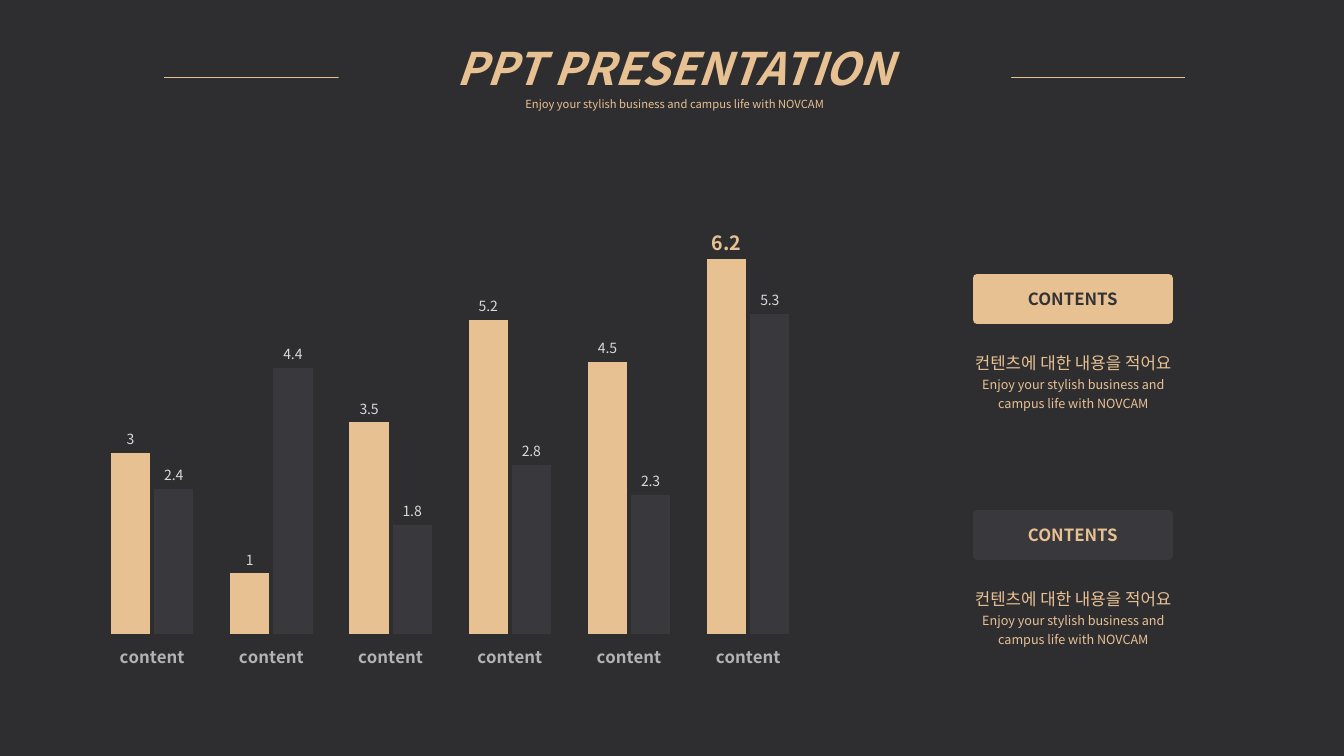
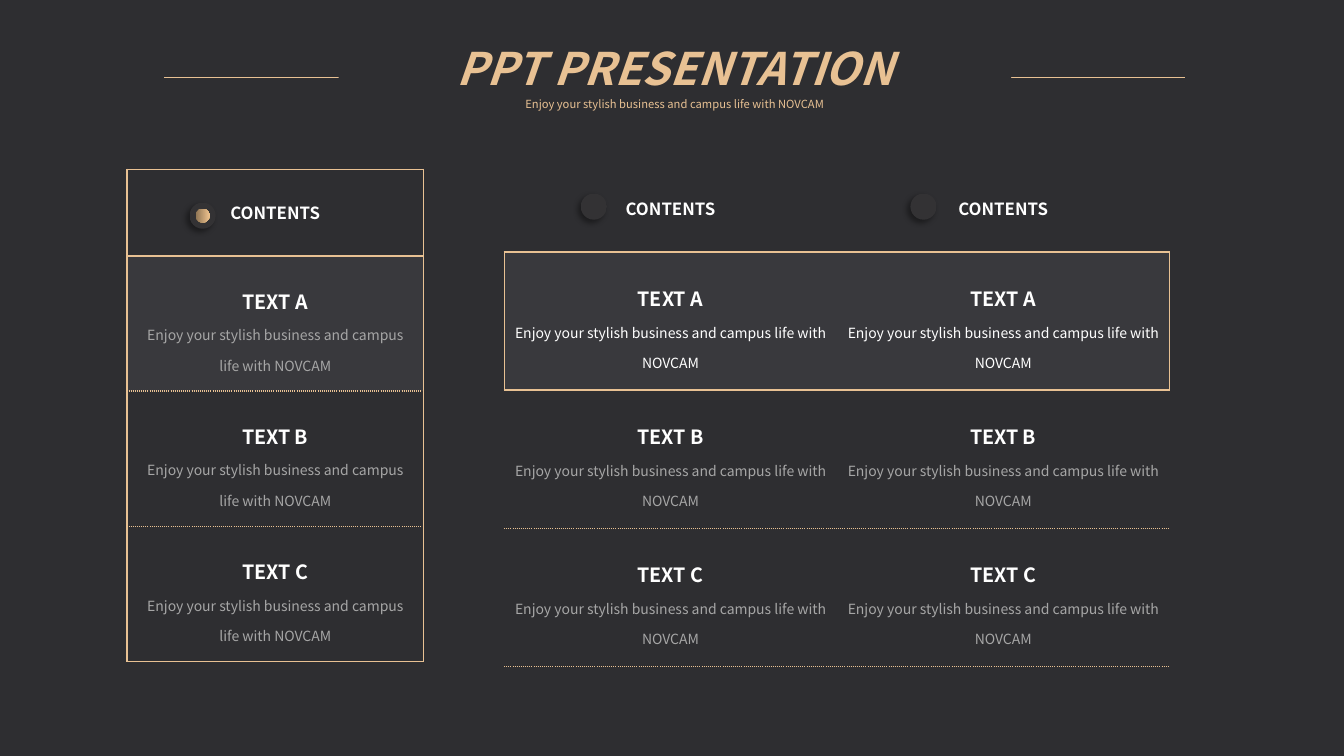
from lxml import etree
from pptx import Presentation
from pptx.chart.data import CategoryChartData
from pptx.dml.color import RGBColor
from pptx.enum.chart import XL_CHART_TYPE, XL_LABEL_POSITION
from pptx.enum.shapes import MSO_CONNECTOR, MSO_SHAPE
from pptx.enum.text import MSO_ANCHOR, PP_ALIGN
from pptx.oxml.ns import qn
from pptx.util import Inches, Pt

CLUSTERED = XL_CHART_TYPE.COLUMN_CLUSTERED
OUTSIDE_END = XL_LABEL_POSITION.OUTSIDE_END
STRAIGHT = MSO_CONNECTOR.STRAIGHT
RECT, OVAL = MSO_SHAPE.RECTANGLE, MSO_SHAPE.OVAL
TOP, MIDDLE = MSO_ANCHOR.TOP, MSO_ANCHOR.MIDDLE
CENTER = PP_ALIGN.CENTER

FONT = "Noto Sans CJK KR"
DARK, PANEL, GOLD = "2E2E31", "39393D", "E8C193"
INK, WHITE, GREY = "333234", "FFFFFF", "A6A6A6"
LABEL, AXIS = "D9D9D9", "B3B3B3"
KNOB = (INK, "313033")
KNOB_ON = ("8D7353", "EEC28D")
SOLID, DOTTED = "solid", "sysDot"
TAGLINE = "Enjoy your stylish business and campus life with NOVCAM"


def rgb(value):
    return RGBColor.from_string(value)


def box(left, top, width, height):
    return [Inches(n) for n in (left, top, width, height)]


def style_font(font, size, color, bold=False, italic=False):
    font.name = FONT
    font.size = Pt(size)
    font.bold = bold
    font.italic = italic
    font.color.rgb = rgb(color)


def set_borders(cell, edges):
    """Draw the given edges (side to dash style) and clear the others."""
    props = cell._tc.get_or_add_tcPr()
    for i, side in enumerate("LRTB"):
        ln = etree.Element(qn(f"a:ln{side}"), w=str(Pt(1)))
        if side in edges:
            fill = etree.SubElement(ln, qn("a:solidFill"))
            etree.SubElement(fill, qn("a:srgbClr"), val=GOLD)
            etree.SubElement(ln, qn("a:prstDash"), val=edges[side])
        else:
            etree.SubElement(ln, qn("a:noFill"))
        props.insert(i, ln)


class Deck:
    def __init__(self):
        self.prs = Presentation()
        self.prs.slide_width = Inches(13.33)
        self.prs.slide_height = Inches(7.5)
        self.s = None

    def new_slide(self):
        self.s = self.prs.slides.add_slide(self.prs.slide_layouts[6])
        fill = self.s.background.fill
        fill.solid()
        fill.fore_color.rgb = rgb(DARK)

    def add_lines(self, tf, paragraphs, spacing=1.0):
        """Fill a text frame with (text, size, colour, bold, italic) lines."""
        tf.word_wrap = True
        for i, (text, *style) in enumerate(paragraphs):
            p = tf.add_paragraph() if i else tf.paragraphs[0]
            p.alignment = CENTER
            p.line_spacing = spacing
            r = p.add_run()
            r.text = text
            style_font(r.font, *style)
            etree.SubElement(r._r.get_or_add_rPr(), qn("a:ea"), typeface=FONT)

    def text(self, place, paragraphs, spacing):
        sp = self.s.shapes.add_textbox(*box(*place))
        self.add_lines(sp.text_frame, paragraphs, spacing)

    def rect(self, place, color, paragraphs, line=0, anchor=MIDDLE, spacing=1.0):
        sp = self.s.shapes.add_shape(RECT, *box(*place))
        sp.shadow.inherit = False
        sp.fill.solid()
        sp.fill.fore_color.rgb = rgb(color)
        if line:
            sp.line.color.rgb = rgb(color)
            sp.line.width = Pt(line)
        else:
            sp.line.fill.background()
        sp.text_frame.vertical_anchor = anchor
        self.add_lines(sp.text_frame, paragraphs, spacing)

    def line(self, x1, y1, x2, y2):
        ends = [Inches(n) for n in (x1, y1, x2, y2)]
        cn = self.s.shapes.add_connector(STRAIGHT, *ends)
        cn.line.color.rgb = rgb(GOLD)
        cn.line.width = Pt(0.5)
        etree.SubElement(cn._element.spPr, qn("a:effectLst"))

    def title(self):
        self.line(1.63, 0.77, 11.75, 0.77)
        self.rect((3.36, 0.22, 6.67, 1.11), DARK,
                  [("PPT PRESENTATION", 32, GOLD, True, True),
                   (TAGLINE, 8, GOLD)], anchor=TOP, spacing=1.25)

    def legend(self, top, fill, color):
        """Add a key box with its explanation below."""
        self.rect((9.69, top, 1.9, 0.41), fill,
                  [("CONTENTS", 12, color, True)], line=6.25)
        self.text((9.43, top + 0.64, 2.43, 0.86),
                  [("컨텐츠에 대한 내용을 적어요", 12, GOLD),
                   (TAGLINE, 9, GOLD)], 1.25)

    def column_chart(self, place, categories, series):
        """Add columns from (name, colour, values) series."""
        data = CategoryChartData()
        data.categories = categories
        for name, _, values in series:
            data.add_series(name, values)
        chart = self.s.shapes.add_chart(CLUSTERED, *box(*place), data).chart
        chart.has_legend = False
        chart.has_title = False
        style_font(chart.font, 10, LABEL)

        value_axis = chart.value_axis
        value_axis.minimum_scale, value_axis.maximum_scale = 0, 7
        value_axis.has_major_gridlines = False
        value_axis.visible = False
        category_axis = chart.category_axis
        category_axis.format.line.fill.background()
        style_font(category_axis.tick_labels.font, 12, AXIS, True)

        plot = chart.plots[0]
        plot.gap_width, plot.overlap = 94, -10
        plot.vary_by_categories = False
        for ser, (_, color, _) in zip(plot.series, series):
            ser.format.fill.solid()
            ser.format.fill.fore_color.rgb = rgb(color)
            labels = ser.data_labels
            labels.show_value = True
            labels.position = OUTSIDE_END
            style_font(labels.font, 10, LABEL)
        return chart

    def table(self, place, heights, columns, cell_style):
        """Add a table; cell_style(row, col) gives fill, note colour, edges."""
        tbl = self.s.shapes.add_table(len(heights), columns, *box(*place)).table
        tbl.first_row = tbl.horz_banding = False
        for row, height in enumerate(heights):
            tbl.rows[row].height = Inches(height)
            for col in range(columns):
                fill, note, edges = cell_style(row, col)
                cell = tbl.cell(row, col)
                cell.vertical_anchor = MIDDLE
                if fill:
                    cell.fill.solid()
                    cell.fill.fore_color.rgb = rgb(fill)
                else:
                    cell.fill.background()
                set_borders(cell, edges)
                if row == 0:
                    self.add_lines(cell.text_frame,
                                   [("CONTENTS", 12, WHITE, True)])
                else:
                    self.add_lines(cell.text_frame,
                                   [(f"TEXT {'ABC'[row - 1]}", 14, WHITE, True),
                                    (TAGLINE, 10, note)], 1.5)

    def knob(self, left, top, core):
        """Add a round button with a soft shadow and a small core."""
        group = self.s.shapes.add_group_shape()
        for inset, colors, angle in ((0, KNOB, 315),
                                     (0.06, core, 0 if core == KNOB_ON else 315)):
            size = 0.26 - 2 * inset
            sp = group.shapes.add_shape(
                OVAL, *box(left + inset, top + inset, size, size))
            sp.fill.gradient()
            sp.fill.gradient_angle = angle
            for stop, color in zip(sp.fill.gradient_stops, colors):
                stop.color.rgb = rgb(color)
            sp.line.fill.background()
            sp.shadow.inherit = False
            if not inset:
                effects = sp._element.spPr.find(qn("a:effectLst"))
                shadow = etree.SubElement(
                    effects, qn("a:outerShdw"), blurRad=str(Pt(4)),
                    dist=str(Pt(3)), dir=str(135 * 60000))
                black = etree.SubElement(shadow, qn("a:srgbClr"), val="000000")
                etree.SubElement(black, qn("a:alpha"), val="40000")


def framed_cell(row, col):
    edges = {"L": SOLID, "R": SOLID,
             "T": SOLID if row < 2 else DOTTED,
             "B": SOLID if row in (0, 3) else DOTTED}
    return PANEL if row == 1 else None, GREY, edges


def open_cell(row, col):
    if row == 0:
        return None, GREY, {"B": SOLID}
    if row == 1:
        side = "R" if col else "L"
        return PANEL, WHITE, {side: SOLID, "T": SOLID, "B": SOLID}
    return None, GREY, {"T": SOLID if row == 2 else DOTTED, "B": DOTTED}


def chart_slide(deck):
    deck.new_slide()
    chart = deck.column_chart(
        (0.77, 2, 7.39, 4.73), ["content"] * 6,
        [("Series 1", GOLD, (3, 1, 3.5, 5.2, 4.5, 6.2)),
         ("Series 2", PANEL, (2.4, 4.4, 1.8, 2.8, 2.3, 5.3))])
    peak = chart.plots[0].series[0].points[5].data_label
    style_font(peak.font, 14, GOLD, True)
    peak.position = OUTSIDE_END
    deck.legend(2.76, GOLD, INK)
    deck.legend(5.1, PANEL, GOLD)
    deck.title()


def table_slide(deck):
    deck.new_slide()
    deck.title()
    deck.table((1.26, 1.68, 2.94, 4.88), [0.86] + [1.34] * 3, 1, framed_cell)
    deck.table((5, 1.64, 6.6, 4.97), [0.86] + [1.37] * 3, 2, open_cell)
    deck.knob(1.88, 2.01, KNOB_ON)
    for left in (5.76, 9.03):
        deck.knob(left, 1.92, KNOB)


def main():
    deck = Deck()
    chart_slide(deck)
    table_slide(deck)
    deck.prs.save("out.pptx")


if __name__ == "__main__":
    main()
